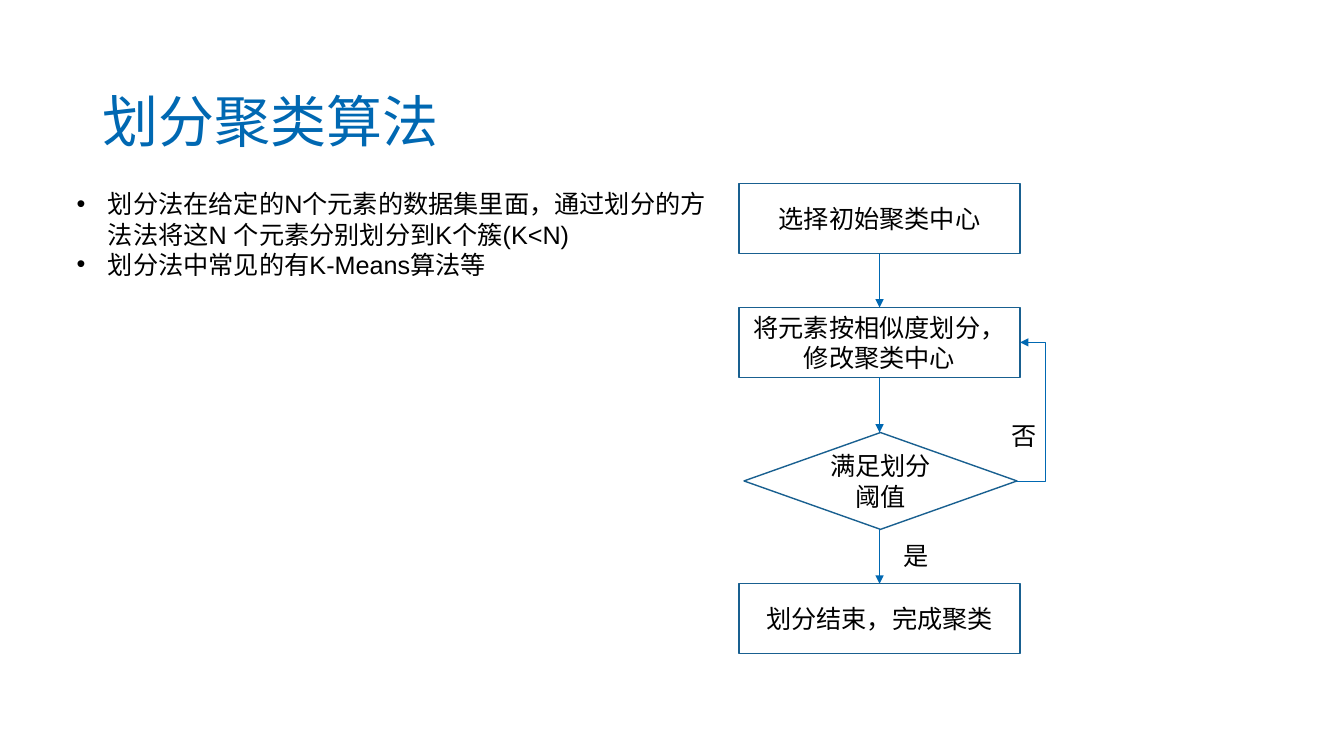
from lxml.etree import SubElement
from pptx import Presentation
from pptx.dml.color import RGBColor
from pptx.enum.shapes import MSO_CONNECTOR, MSO_SHAPE
from pptx.enum.text import MSO_ANCHOR, PP_ALIGN
from pptx.oxml.ns import qn
from pptx.util import Cm, Pt

BLUE = RGBColor(0x00, 0x68, 0xB2)
OUTLINE = RGBColor(0x19, 0x60, 0x90)
BLACK = RGBColor(0, 0, 0)
WHITE = RGBColor(0xFF, 0xFF, 0xFF)

BULLETS = [
    "划分法在给定的N个元素的数据集里面，通过划分的方法法将这N 个元素分别划分到K个簇(K<N)",
    "划分法中常见的有K-Means算法等",
]
STEPS = [
    ("选择初始聚类中心", MSO_SHAPE.RECTANGLE, 0, 0, 7.09, 1.76),
    ("将元素按相似度划分，修改聚类中心", MSO_SHAPE.RECTANGLE, 0, 3.12, 7.09, 1.76),
    ("满足划分阈值", MSO_SHAPE.DIAMOND, 0.13, 6.27, 6.88, 2.44),
    ("划分结束，完成聚类", MSO_SHAPE.RECTANGLE, 0, 10.08, 7.09, 1.76),
]


def add_run(paragraph, text, size=18, color=BLACK):
    run = paragraph.add_run()
    run.text = text
    run.font.name = "Arial"
    run.font.size = Pt(size)
    run.font.color.rgb = color


def add_text_frame(slide, left, top, width, height):
    text_box = slide.shapes.add_textbox(Cm(left), Cm(top), Cm(width), Cm(height))
    text_box.text_frame.word_wrap = True
    return text_box.text_frame


def add_arrow(slide, kind, start, end):
    arrow = slide.shapes.add_connector(kind, *start, *end)
    arrow.line.color.rgb = BLUE
    arrow.line.width = Pt(0.5)
    SubElement(arrow.line._get_or_add_ln(), qn("a:tailEnd"), type="triangle")
    SubElement(arrow._element.spPr, qn("a:effectLst"))
    return arrow


def add_step(slide, text, kind, left, top, width, height):
    step = slide.shapes.add_shape(kind, Cm(left), Cm(top), Cm(width), Cm(height))
    step.shadow.inherit = False
    step.fill.solid()
    step.fill.fore_color.rgb = WHITE
    step.line.color.rgb = OUTLINE
    step.line.width = Pt(1)
    step.text_frame.word_wrap = True
    step.text_frame.vertical_anchor = MSO_ANCHOR.MIDDLE
    paragraph = step.text_frame.paragraphs[0]
    paragraph.alignment = PP_ALIGN.CENTER
    add_run(paragraph, text)
    return step


def add_title(slide, left, top, width, height):
    frame = add_text_frame(slide, left, top, width, height)
    frame.vertical_anchor = MSO_ANCHOR.MIDDLE
    paragraph = frame.paragraphs[0]
    paragraph.line_spacing = 1.2
    add_run(paragraph, "划分聚类算法", 40, BLUE)


def add_bullets(slide, left, top, width, height):
    frame = add_text_frame(slide, left, top, width, height)
    for index, text in enumerate(BULLETS):
        paragraph = frame.add_paragraph() if index else frame.paragraphs[0]
        properties = paragraph._p.get_or_add_pPr()
        properties.set("marL", str(Cm(0.79)))
        properties.set("indent", str(-Cm(0.79)))
        SubElement(properties, qn("a:buFont"), typeface="Arial")
        SubElement(properties, qn("a:buChar"), char="•")
        add_run(paragraph, text)


def add_flowchart(slide, left, top, width):
    steps = [
        add_step(slide, text, kind, left + x, top + y, step_width, step_height)
        for text, kind, x, y, step_width, step_height in STEPS
    ]
    center = Cm(left + width / 2)
    for upper, lower in zip(steps, steps[1:]):
        add_arrow(slide, MSO_CONNECTOR.STRAIGHT,
                  (center, upper.top + upper.height), (center, lower.top))

    _, divide, decision, _ = steps
    start_x = decision.left + decision.width
    end_x = divide.left + divide.width
    loop = add_arrow(slide, MSO_CONNECTOR.ELBOW,
                     (start_x, decision.top + decision.height // 2),
                     (end_x, divide.top + divide.height // 2))
    geometry = loop._element.spPr.find(qn("a:prstGeom"))
    bend = round(Cm(0.71) / (end_x - start_x) * 100000)
    SubElement(geometry.get_or_add_avLst(), qn("a:gd"), name="adj1", fmla=f"val {bend}")

    for text, x, y in [("否", 6.63, 5.83), ("是", 3.89, 8.86)]:
        frame = add_text_frame(slide, left + x, top + y, 0.84, 1.02)
        add_run(frame.paragraphs[0], text)


def main():
    presentation = Presentation()
    presentation.slide_width = Cm(33.87)
    presentation.slide_height = Cm(19.05)
    slide = presentation.slides.add_slide(presentation.slide_layouts[6])
    add_title(slide, 2.34, 1.02, 29.21, 3.68)
    add_flowchart(slide, 18.62, 4.63, 7.09)
    add_bullets(slide, 1.68, 4.63, 16.94, 2.57)
    presentation.save("out.pptx")


if __name__ == "__main__":
    main()
